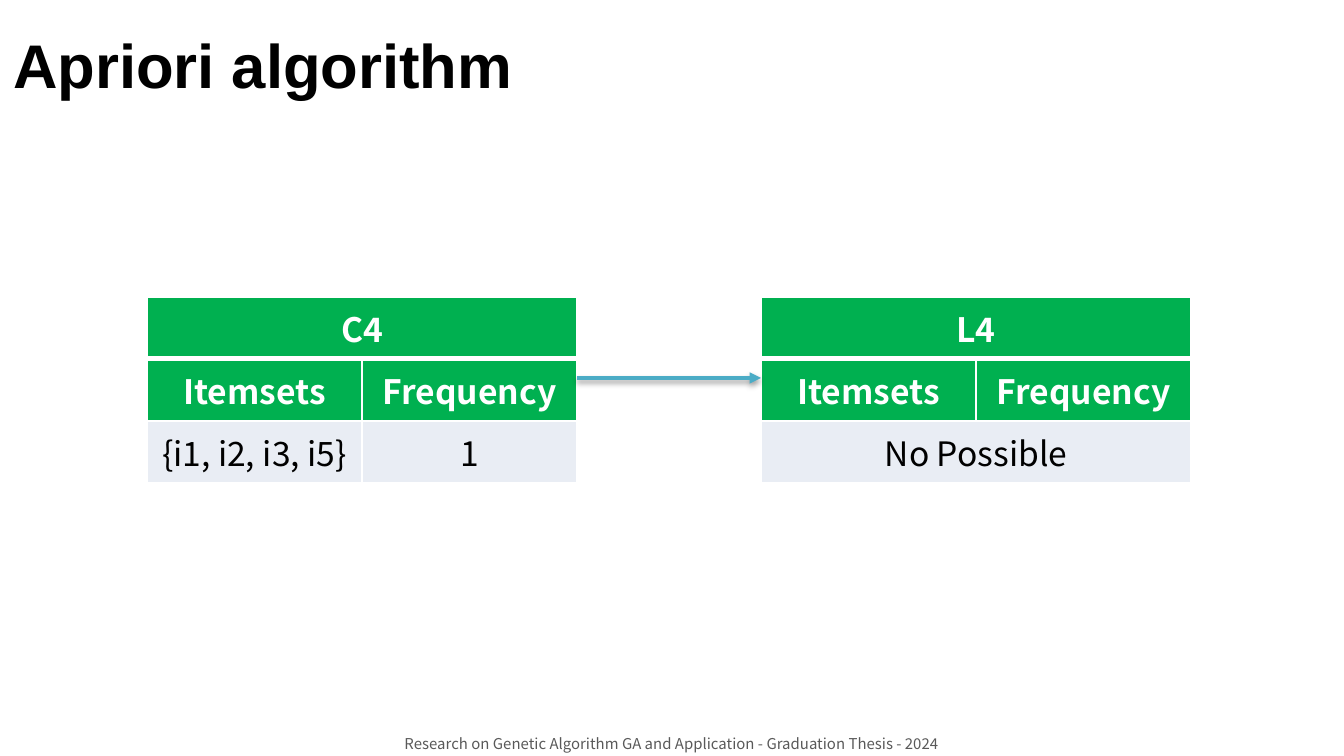
from dataclasses import dataclass

from lxml.etree import SubElement
from pptx import Presentation
from pptx.dml.color import RGBColor
from pptx.enum.shapes import MSO_CONNECTOR
from pptx.enum.text import MSO_ANCHOR, PP_ALIGN
from pptx.oxml import parse_xml
from pptx.oxml.ns import nsdecls, qn
from pptx.util import Pt

PX = 914400 / 134.4


@dataclass(frozen=True)
class Theme:
    head_font: str = "Arial"
    body_font: str = "Noto Sans CJK KR"
    title_size: int = 33
    table_size: int = 18
    footer_size: int = 8
    black: str = "000000"
    white: str = "FFFFFF"
    green: str = "00B050"
    pale: str = "E9EDF4"
    arrow: str = "4BACC6"
    grey: str = "595959"


T = Theme()


def px(*lengths):
    return [round(n * PX) for n in lengths]


def write(tf, text, *, size, color, font=T.body_font, bold=False,
          align=PP_ALIGN.CENTER, anchor=MSO_ANCHOR.TOP):
    tf.word_wrap = True
    tf.vertical_anchor = anchor
    p = tf.paragraphs[0]
    p.alignment = align
    r = p.add_run()
    r.text = text
    r.font.name = font
    r.font.size = Pt(size)
    r.font.bold = bold
    r.font.color.rgb = RGBColor.from_string(color)


def add_text(s, box, text, **fmt):
    sp = s.shapes.add_textbox(*px(*box))
    write(sp.text_frame, text, **fmt)


def style_cell(cell, fill, bottom, top):
    cell.fill.solid()
    cell.fill.fore_color.rgb = RGBColor.from_string(fill)
    tcPr = cell._tc.get_or_add_tcPr()
    # Borders come before the fill in the cell properties
    for i, (side, width) in enumerate((("L", 1), ("R", 1), ("T", top), ("B", bottom))):
        tcPr.insert(i, parse_xml(
            f'<a:ln{side} {nsdecls("a")} w="{Pt(width)}"><a:solidFill>'
            f'<a:srgbClr val="{T.white}"/></a:solidFill></a:ln{side}>'))


def add_itemset_table(s, box, rows):
    """Rows hold one text per cell; a single text spans the whole row."""
    x, y, w, h = box
    table = s.shapes.add_table(len(rows), 2, *px(x, y, w, h)).table
    table.first_row = table.horz_banding = False
    for col in table.columns:
        col.width = px(w / 2)[0]
    for i, texts in enumerate(rows):
        table.rows[i].height = px(h / len(rows))[0]
        is_head = i < 2
        for j in range(2):
            style_cell(table.cell(i, j), T.green if is_head else T.pale,
                       bottom=3 if i == 0 else 1, top=3 if i == 1 else 1)
        if len(texts) == 1:
            table.cell(i, 0).merge(table.cell(i, 1))
        for j, text in enumerate(texts):
            cell = table.cell(i, j)
            write(cell.text_frame, text, size=T.table_size, bold=is_head,
                  color=T.white if is_head else T.black)
            cell.vertical_anchor = MSO_ANCHOR.MIDDLE


def add_arrow(s, x1, x2, y):
    line = s.shapes.add_connector(MSO_CONNECTOR.STRAIGHT, *px(x1, y, x2, y))
    line.line.color.rgb = RGBColor.from_string(T.arrow)
    line.line.width = Pt(2)
    SubElement(line.line._get_or_add_ln(), qn("a:tailEnd"), type="triangle")
    # Soft shadow straight below the line
    line._element.spPr.append(parse_xml(
        f'<a:effectLst {nsdecls("a")}><a:outerShdw blurRad="{Pt(3.1)}" '
        f'dist="{Pt(1.6)}" dir="5400000" rotWithShape="0">'
        f'<a:srgbClr val="{T.black}"><a:alpha val="38000"/></a:srgbClr>'
        '</a:outerShdw></a:effectLst>'))


def add_step(s, box, table_width, candidates, frequent):
    """Candidate table on the left, frequent table on the right, arrow between."""
    x, y, w, h = box
    right = x + w - table_width
    add_itemset_table(s, (x, y, table_width, h), candidates)
    add_itemset_table(s, (right, y, table_width, h), frequent)
    add_arrow(s, x + table_width, right, y + 81)


def main():
    prs = Presentation()
    prs.slide_width, prs.slide_height = px(1344, 756)
    s = prs.slides.add_slide(prs.slide_layouts[6])

    # Title
    add_text(s, (0, 4, 1344, 120), "Apriori algorithm", size=T.title_size,
             font=T.head_font, color=T.black, bold=True,
             align=PP_ALIGN.JUSTIFY, anchor=MSO_ANCHOR.MIDDLE)

    # Fourth step
    columns = ["Itemsets", "Frequency"]
    add_step(s, (147, 297, 1044, 186), 430,
             [["C4"], columns, ["{i1, i2, i3, i5}", "1"]],
             [["L4"], columns, ["No Possible"]])

    # Footer
    add_text(s, (0, 728, 1344, 32),
             "Research on Genetic Algorithm GA and Application - Graduation Thesis - 2024",
             size=T.footer_size, color=T.grey)

    prs.save("out.pptx")


if __name__ == "__main__":
    main()
